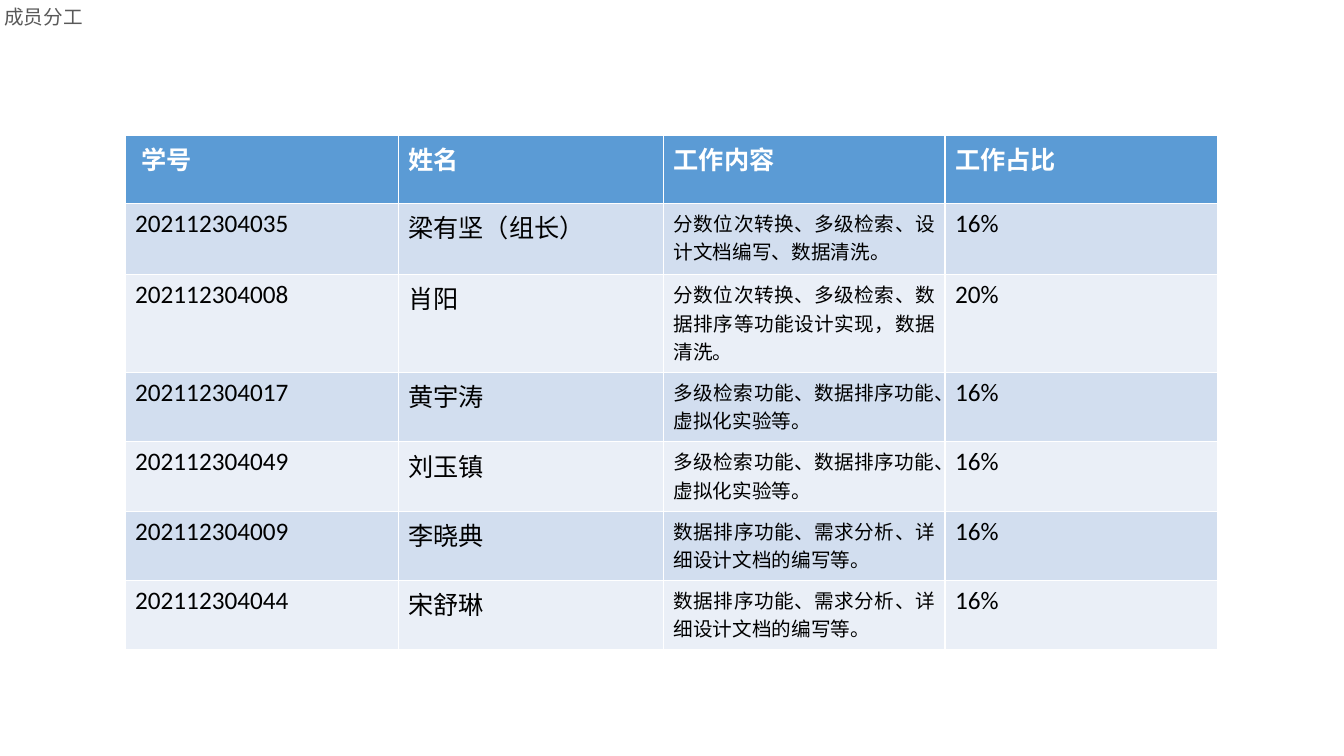
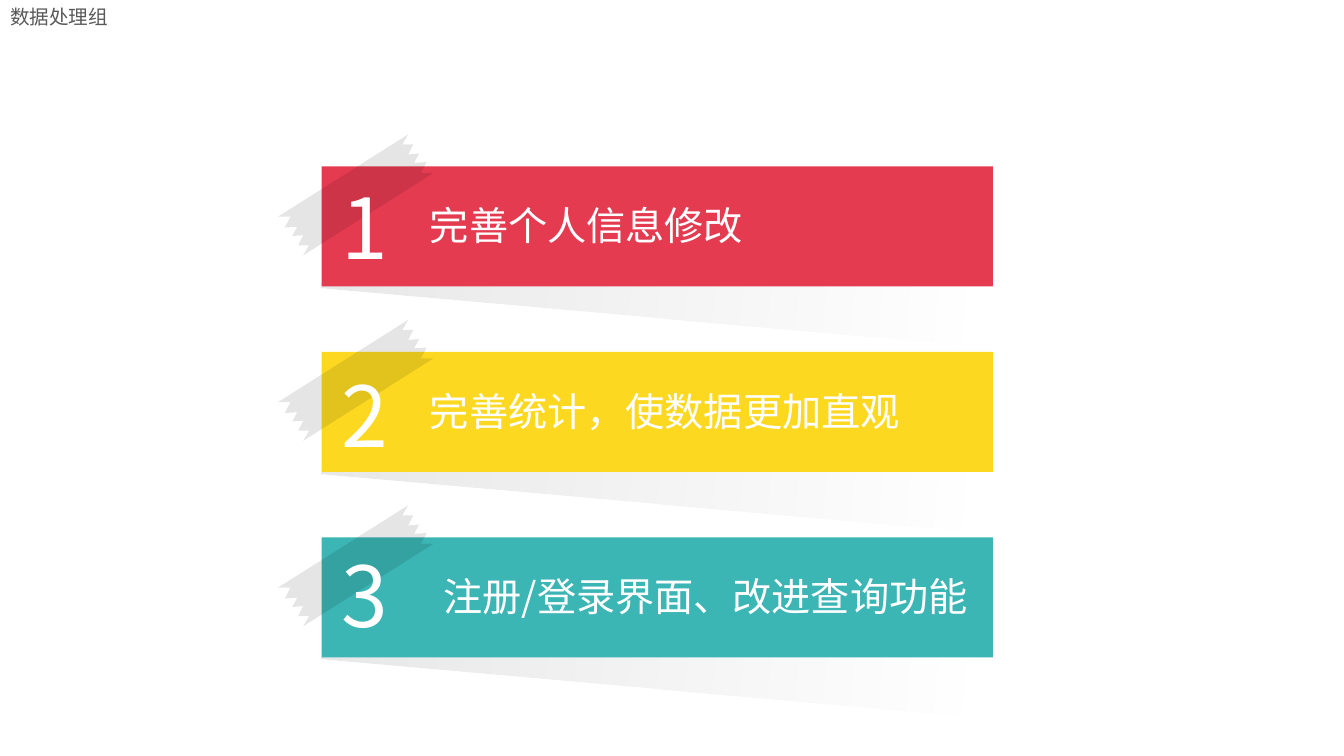
from lxml import etree
from pptx import Presentation, util as u
from pptx.dml.color import RGBColor
from pptx.enum import shapes, text
from pptx.oxml import ns

# Shared style: the slide is a grid of 80 columns by 45 rows
COLUMNS, ROWS = 80, 45
CHINESE, DIGITS, LATIN = "Noto Sans CJK SC", "Noto Sans CJK JP", "Calibri"
WHITE, BLACK, GREY = "FFFFFF", "000000", "595959"
HEADER, BANDS = "5B9BD5", ("D2DEEF", "EAEFF7")


def color(value):
    return RGBColor.from_string(value)


def write(frame, content, font=CHINESE, east_asian=CHINESE, size=14,
          fill=BLACK, bold=False, align=text.PP_ALIGN.LEFT):
    """Write one formatted paragraph into a text frame."""
    paragraph = frame.paragraphs[0]
    paragraph.alignment = align
    run = paragraph.add_run()
    run.text = content
    run.font.name, run.font.size, run.font.bold = font, u.Pt(size), bold
    run.font.color.rgb = color(fill)
    etree.SubElement(run.font._element, ns.qn("a:ea"), typeface=east_asian)


def set_alpha(shape, *percents):
    """Set the opacity of the shape's fill colours, in order."""
    for node, percent in zip(shape.element.spPr.iter(ns.qn("a:srgbClr")), percents):
        etree.SubElement(node, ns.qn("a:alpha"), val=str(percent * 1000))


class Deck:
    """The presentation, its grid and the current slide."""

    def __init__(self):
        self.presentation = Presentation()
        self.presentation.slide_width = u.Inches(40 / 3)
        self.presentation.slide_height = u.Inches(7.5)
        self.slide = None

    def across(self, columns):
        return round(self.presentation.slide_width * columns / COLUMNS)

    def down(self, rows):
        return round(self.presentation.slide_height * rows / ROWS)

    def box(self, left, top, width, height):
        return self.across(left), self.down(top), self.across(width), self.down(height)

    def new_slide(self, title, left=0):
        layout = self.presentation.slide_layouts[5]
        self.slide = self.presentation.slides.add_slide(layout)
        shape = self.slide.shapes.title
        shape.left, shape.top, shape.width, shape.height = self.box(left, 0, 25, 2)
        frame = shape.text_frame
        frame.auto_size = text.MSO_AUTO_SIZE.NONE
        frame.vertical_anchor = text.MSO_ANCHOR.TOP
        write(frame, title, fill=GREY)

    def label(self, content, left, top, width, height, **style):
        frame = self.slide.shapes.add_textbox(
            *self.box(left, top, width, height)).text_frame
        frame.word_wrap = True
        write(frame, content, fill=WHITE, **style)

    def rectangle(self, left, top, width, height, fill):
        shape = self.slide.shapes.add_shape(
            shapes.MSO_SHAPE.RECTANGLE, *self.box(left, top, width, height))
        shape.shadow.inherit = False
        shape.line.fill.background()
        shape.fill.solid()
        shape.fill.fore_color.rgb = color(fill)
        return shape

    def slanted_shade(self, left, top, width, height):
        shape = self.rectangle(left, top, width, height, BLACK)
        shape.rotation = 5.1
        shape.fill.gradient()
        shape.fill.gradient_angle = 0
        for stop in shape.fill.gradient_stops:
            stop.color.rgb = color(BLACK)
        set_alpha(shape, 10, 0)

    def tape(self, left, top):
        # Half the outline; the other half is the same turned by 180 degrees
        half = [(-2.6, 3), (5.15, -1.9), (4.8, -1.3), (5.45, -1.3), (5.15, -0.7),
                (5.8, -0.75), (5.5, -0.2), (6.25, -0.25), (5.9, 0.4)]
        outline = half + [(4.05 - x, 3.4 - y) for x, y in half]
        points = [(self.across(left + x), self.down(top + y)) for x, y in outline]
        builder = self.slide.shapes.build_freeform(*points[0])
        builder.add_line_segments(points[1:], close=True)
        shape = builder.convert_to_shape()
        shape.shadow.inherit = False
        shape.line.fill.background()
        shape.fill.solid()
        shape.fill.fore_color.rgb = color(BLACK)
        set_alpha(shape, 10)

    def table(self, left, top, widths, heights, records):
        table = self.slide.shapes.add_table(
            len(heights), len(widths),
            *self.box(left, top, sum(widths), sum(heights))).table
        for column, width in zip(table.columns, widths):
            column.width = self.across(width)
        for row, height in zip(table.rows, heights):
            row.height = self.down(height)
        for i, record in enumerate(records):
            for j, content in enumerate(record):
                cell = table.cell(i, j)
                cell.fill.solid()
                cell.fill.fore_color.rgb = color(BANDS[(i - 1) % 2] if i else HEADER)
                style = dict(font=LATIN, size=18)
                if i == 0:
                    style.update(fill=WHITE, bold=True)
                elif j == 2:
                    style.update(size=14, align=text.PP_ALIGN.JUSTIFY)
                write(cell.text_frame, content, **style)
        table.cell(0, 0).margin_left = self.across(0.95)


def members_slide(deck):
    deck.new_slide("成员分工", left=-0.35)
    search = "多级检索功能、数据排序功能、虚拟化实验等。"
    documents = "数据排序功能、需求分析、详细设计文档的编写等。"
    members = [
        ("学号", "姓名", "工作内容", "工作占比"),
        ("202112304035", "梁有坚（组长）",
         "分数位次转换、多级检索、设计文档编写、数据清洗。", "16%"),
        ("202112304008", "肖阳",
         "分数位次转换、多级检索、数据排序等功能设计实现，数据清洗。", "20%"),
        ("202112304017", "黄宇涛", search, "16%"),
        ("202112304049", "刘玉镇", search, "16%"),
        ("202112304009", "李晓典", documents, "16%"),
        ("202112304044", "宋舒琳", documents, "16%"),
    ]
    deck.table(7.45, 8.05, widths=[16.25, 15.8, 16.75, 16.25],
               heights=[4.05, 4.25, 5.82] + [4.13] * 4, records=members)


def plans_slide(deck):
    deck.new_slide("数据处理组")
    left, first_top, pitch, width, height = 19.15, 9.9, 11.04, 39.95, 7.15
    # Text, bar colour, text column, drop of the number below the bar's top
    plans = [
        ("完善个人信息修改", "E53B51", 25, 0.25),
        ("完善统计，使数据更加直观", "FCD920", 25, 0.4),
        ("注册/登录界面、改进查询功能", "3CB5B5", 25.8, 0.1),
    ]
    for i, (content, fill, text_left, number_drop) in enumerate(plans):
        top = first_top + i * pitch
        deck.slanted_shade(left + 0.25, top + 1.9, width, height)
        deck.rectangle(left, top, width, height, fill)
        deck.tape(left, top)
        deck.label(str(i + 1), 19.75, top + number_drop, 5, 6.65,
                   font=DIGITS, east_asian=DIGITS, size=60)
        deck.label(content, text_left, top + 1.8, 34.4, 3.4, size=28)


def main():
    deck = Deck()
    members_slide(deck)
    plans_slide(deck)
    deck.presentation.save("out.pptx")


if __name__ == "__main__":
    main()
